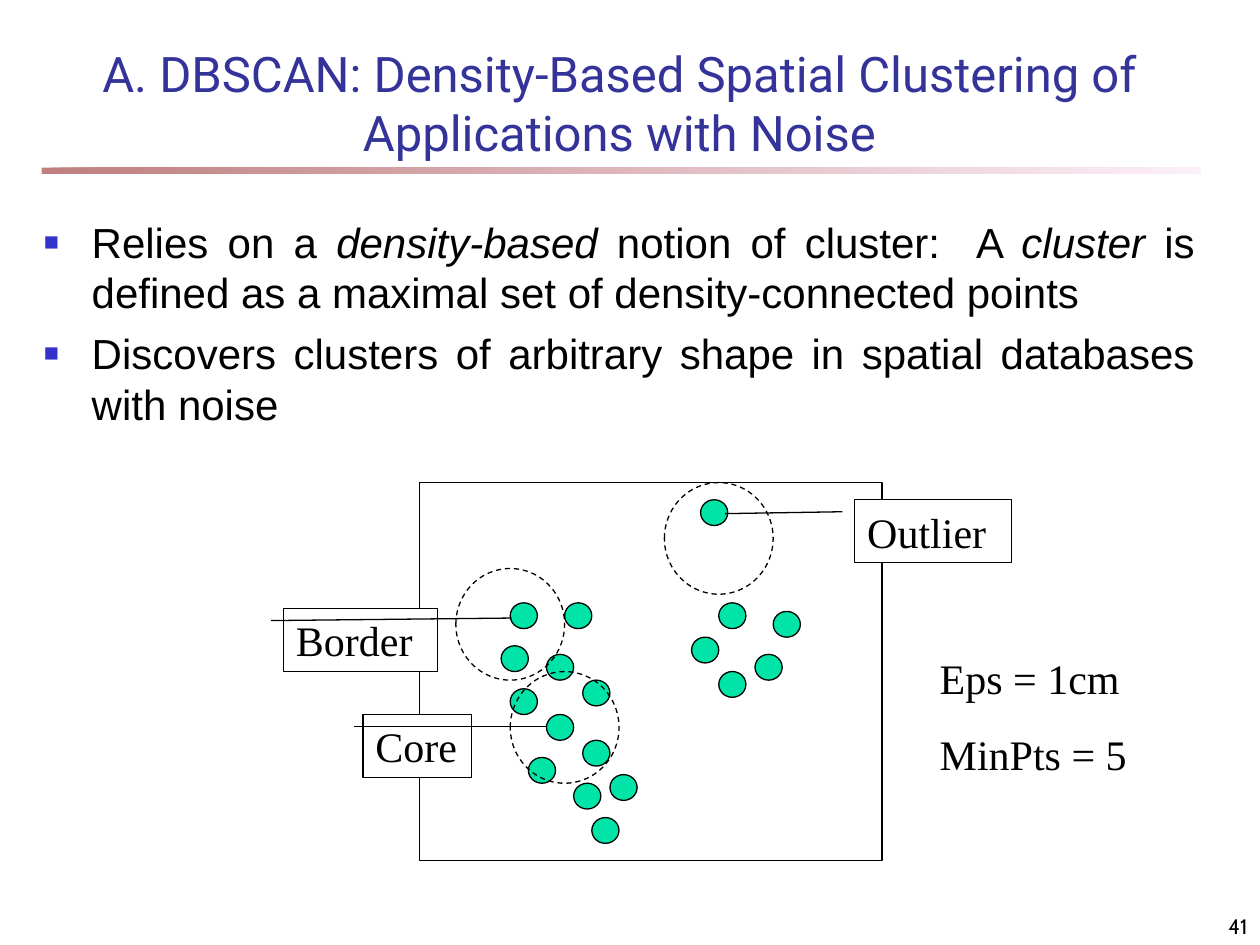
from lxml.etree import SubElement
from pptx import Presentation
from pptx.dml.color import RGBColor
from pptx.enum.dml import MSO_LINE
from pptx.enum.shapes import MSO_SHAPE as Shape
from pptx.enum.text import MSO_ANCHOR as Anchor, MSO_AUTO_SIZE as AutoSize, PP_ALIGN as Align
from pptx.oxml.ns import qn
from pptx.util import Inches, Pt

BLACK = RGBColor(0x00, 0x00, 0x00)
WHITE = RGBColor(0xFF, 0xFF, 0xFF)
NAVY = RGBColor(0x33, 0x33, 0x99)
BULLET_BLUE = RGBColor(0x33, 0x33, 0xCC)
POINT_GREEN = RGBColor(0x00, 0xE4, 0xA8)
MAROON = RGBColor(0x80, 0x00, 0x00)
PINK = RGBColor(0xFA, 0xE2, 0xF6)

TITLE = {"name": "Roboto", "size": Pt(28), "color": NAVY}
BODY = {"name": "Arial", "size": Pt(24), "color": BLACK}
LABEL = {"name": "Times New Roman", "size": Pt(24), "color": BLACK}
NUMBER = {"name": "Cabin", "size": Pt(12), "color": BLACK}

# The diagram's frame is 51 columns by 44 rows; all its parts sit on that grid.
FRAME_LEFT, FRAME_TOP, FRAME_WIDTH, FRAME_HEIGHT = 3.33, 3.83, 3.67, 3
COLUMNS, ROWS = 51, 44

# Column and row of each data point, by cluster.
LEFT_CLUSTER = [(10, 14), (9, 19), (14, 20), (16, 14), (18, 23), (10, 24), (14, 27),
                (12, 32), (17, 35), (19, 39), (18, 30), (21, 34)]
RIGHT_CLUSTER = [(33, 14), (30, 18), (37, 20), (39, 15), (33, 22)]
OUTLIER = (31, 2)
NEIGHBOURHOODS = [(4, 10), (10, 22), (27, 0)]

# Text, column, row, width in columns, pointer end as (y, x) shares of the box.
CALLOUTS = [
    ("Core", -6.25, 27, 12, (0.19, 1.69)),
    ("Border", -15, 14.67, 17, (0.15, 1.48)),
    ("Outlier", 48, 2, 17.25, (0.22, -0.83)),
]

BULLETS = [
    [("Relies on a ", False), ("density-based", True), (" notion of cluster:  A ", False),
     ("cluster", True), (" is defined as a maximal set of density-connected points", False)],
    [("Discovers clusters of arbitrary shape in spatial databases with noise", False)],
]


def grid(column, row, width, height):
    """Turn diagram columns and rows into inches."""
    step_x, step_y = FRAME_WIDTH / COLUMNS, FRAME_HEIGHT / ROWS
    return (FRAME_LEFT + column * step_x, FRAME_TOP + row * step_y,
            width * step_x, height * step_y)


class SlideBuilder:
    def __init__(self, deck):
        self.page = deck.slides.add_slide(deck.slide_layouts[5])

    def style_font(self, font, style):
        for key, value in style.items():
            if key == "color":
                font.color.rgb = value
            else:
                setattr(font, key, value)

    def set_frame(self, box, anchor=Anchor.TOP):
        settings = {"word_wrap": True, "auto_size": AutoSize.NONE, "vertical_anchor": anchor}
        for key, value in settings.items():
            setattr(box.text_frame, key, value)

    def fill_text(self, box, paragraphs, style, align=Align.LEFT, gap=0, bullets=False):
        for index, spans in enumerate(paragraphs):
            para = box.text_frame.paragraphs[0] if index == 0 else box.text_frame.add_paragraph()
            if bullets:
                self.bullet(para)
            para.alignment = align
            para.space_before = Pt(gap if index else 0)
            for text, italic in spans:
                span = para.add_run()
                span.text = text
                self.style_font(span.font, {**style, "italic": italic})

    def bullet(self, para):
        properties = para._p.get_or_add_pPr()
        properties.set("marL", str(Inches(0.38)))
        properties.set("indent", str(Inches(-0.38)))
        color = SubElement(properties, qn("a:buClr"))
        SubElement(color, qn("a:srgbClr"), val=str(BULLET_BLUE))
        SubElement(properties, qn("a:buSzPct"), val="60000")
        SubElement(properties, qn("a:buFont"), typeface="Arial")
        SubElement(properties, qn("a:buChar"), char="■")

    def title(self, text, place):
        box = self.page.shapes.title
        for key, value in zip(("left", "top", "width", "height"), map(Inches, place)):
            setattr(box, key, value)
        self.set_frame(box, Anchor.BOTTOM)
        self.fill_text(box, [[(text, False)]], TITLE, Align.CENTER)

    def text(self, paragraphs, place, style, anchor=Anchor.TOP, **layout):
        box = self.page.shapes.add_textbox(*map(Inches, place))
        self.set_frame(box, anchor)
        self.fill_text(box, paragraphs, style, **layout)

    def shape(self, kind, place, fill=None, dash=None):
        shape = self.page.shapes.add_shape(kind, *map(Inches, place))
        shape.shadow.inherit = False
        if fill is None:
            shape.fill.background()
        else:
            shape.fill.solid()
            shape.fill.fore_color.rgb = fill
        shape.line.color.rgb = BLACK
        shape.line.width = Pt(0.75)
        if dash:
            shape.line.dash_style = dash
        return shape

    def rule(self, place):
        """Draw the half-transparent gradient bar under the title."""
        bar = self.shape(Shape.RECTANGLE, place)
        bar.line.fill.background()
        bar.fill.gradient()
        bar.fill.gradient_angle = 0
        for stop, position, color in zip(bar.fill.gradient_stops, (0, 1), (MAROON, PINK)):
            stop.position = position
            stop.color.rgb = color
        for color in bar._element.spPr.iter(qn("a:srgbClr")):
            SubElement(color, qn("a:alpha"), val="50000")

    def point(self, column, row):
        self.shape(Shape.OVAL, grid(column, row, 3, 3), POINT_GREEN)

    def neighbourhood(self, column, row):
        self.shape(Shape.OVAL, grid(column, row, 12, 13), dash=MSO_LINE.DASH)

    def callout(self, text, column, row, width, pointer_end):
        box = self.shape(Shape.LINE_CALLOUT_1, grid(column, row, width, 7.33), WHITE)
        for index, value in enumerate((0.19, -0.08, *pointer_end)):
            box.adjustments[index] = value
        self.set_frame(box)
        self.fill_text(box, [[(text, False)]], LABEL)


def main():
    deck = Presentation()
    deck.slide_width, deck.slide_height = Inches(10), Inches(7.5)
    slide = SlideBuilder(deck)

    slide.rule((0.33, 1.33, 9.2, 0.05))
    slide.title("A. DBSCAN: Density-Based Spatial Clustering of Applications with Noise",
                (0.25, 0.25, 9.33, 1.08))
    slide.text(BULLETS, (0.25, 1.67, 9.33, 2), BODY, align=Align.JUSTIFY, gap=6, bullets=True)

    for spot in LEFT_CLUSTER + RIGHT_CLUSTER + [OUTLIER]:
        slide.point(*spot)
    slide.shape(Shape.RECTANGLE, grid(0, 0, COLUMNS, ROWS))
    for spot in NEIGHBOURHOODS:
        slide.neighbourhood(*spot)
    for callout in CALLOUTS:
        slide.callout(*callout)
    slide.text([[("Eps = 1cm", False)], [("MinPts = 5", False)]], grid(56, 19, 25, 16.3),
               LABEL, gap=15)

    slide.text([[("41", False)]], (7.92, 7.08, 2.08, 0.42), NUMBER, Anchor.BOTTOM,
               align=Align.RIGHT)
    deck.save("out.pptx")


if __name__ == "__main__":
    main()
